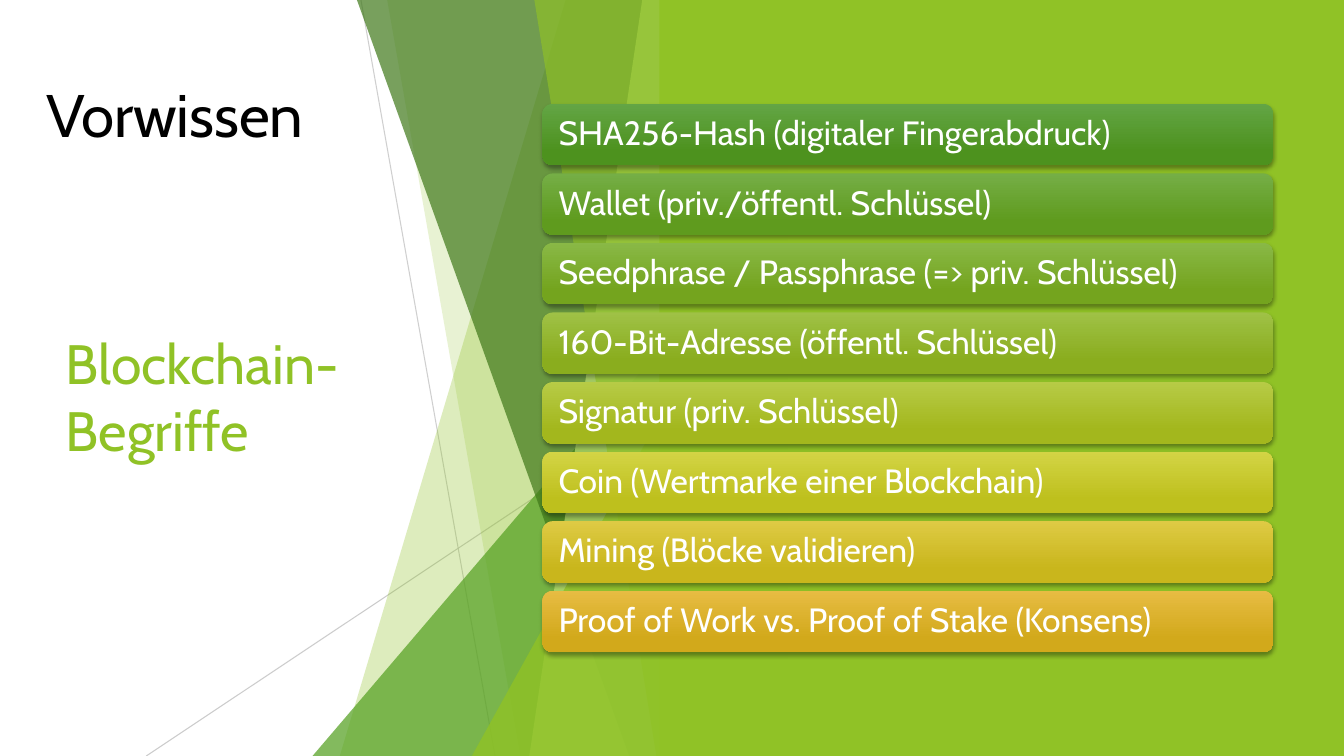
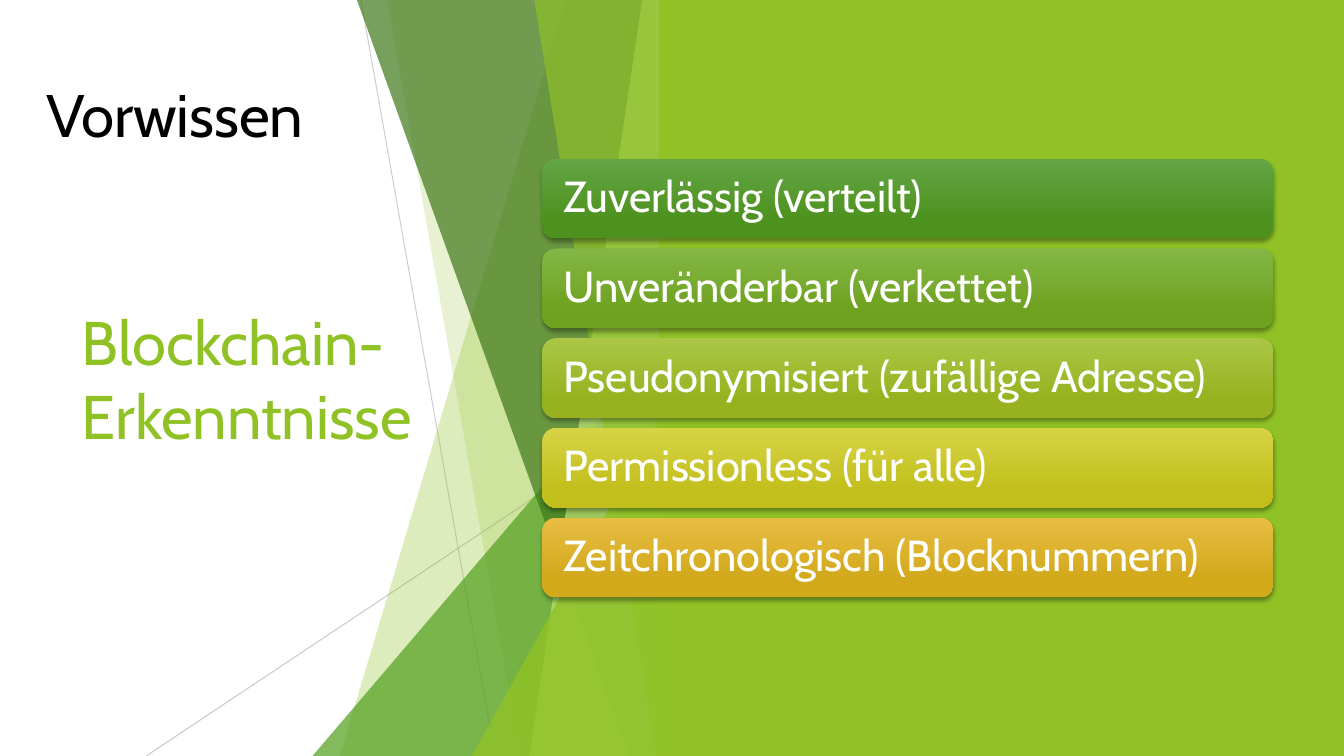
import colorsys

from lxml import etree
from pptx import Presentation
from pptx.dml.color import RGBColor
from pptx.enum.shapes import MSO_CONNECTOR, MSO_SHAPE
from pptx.enum.text import MSO_ANCHOR, MSO_AUTO_SIZE, PP_ALIGN
from pptx.oxml.ns import qn
from pptx.util import Inches, Pt

RECT = MSO_SHAPE.RECTANGLE
ROUNDED = MSO_SHAPE.ROUNDED_RECTANGLE
TRIANGLE = MSO_SHAPE.ISOSCELES_TRIANGLE
STRAIGHT = MSO_CONNECTOR.STRAIGHT
MIDDLE = MSO_ANCHOR.MIDDLE
LEFT = PP_ALIGN.LEFT
NO_FIT = MSO_AUTO_SIZE.NONE

FONT = "Cabin"
W, H = 13.33, 7.5
C = {
    "lime": "90C226", "green": "54A021", "dark": "3F7819", "pale": "C0E474",
    "grey": "BFBFBF", "white": "FFFFFF", "black": "000000",
    "bar_top_first": "63A545", "bar_top_last": "E7BC43",
    "bar_base_first": "4D921E", "bar_base_last": "D2A91B",
}

FACET_BOX = (1.45, 0, 5.21, H)
FACET_LINES = [((2.13, 0), (3.46, 7.5), 75), ((5.21, 4.03), (0, 7.5), 80)]
FACETS = [
    ("sheet", 4.16, 1.92, "lime", 30),
    ("sheet", 2.39, 3.71, "lime", 20),
    ("triangle", 1.65, 3.33, "green", 72),
    ("sheet", 2.09, 4.79, "dark", 70),
    ("sheet", 4.92, 3.8, "pale", 70),
    ("sheet", 3.85, 5.06, "lime", 65),
    ("triangle", 3.23, 3.93, "lime", 80),
]
PANEL_BOX = (6.54, 0, W - 6.54, H)
HEADING_BOX = (0.36, 0.35, 3.88, 1.55)
BARS_BOX = (5.38, 0, 7.25, H)

SLIDES = [
    dict(title="Blockchain-Begriffe", title_box=(0.55, 3.15, 3.88, 1.55), title_size=39.6,
         bar_height=0.61, gap=0.08, bar_size=24, inset=0.13,
         terms=[
             "SHA256-Hash (digitaler Fingerabdruck)",
             "Wallet (priv./öffentl. Schlüssel)",
             "Seedphrase / Passphrase (=> priv. Schlüssel)",
             "160-Bit-Adresse (öffentl. Schlüssel)",
             "Signatur (priv. Schlüssel)",
             "Coin (Wertmarke einer Blockchain)",
             "Mining (Blöcke validieren)",
             "Proof of Work vs. Proof of Stake (Konsens)",
         ]),
    dict(title="Blockchain-Erkenntnisse", title_box=(0.71, 1.51, 3.88, 4.48), title_size=44,
         bar_height=0.79, gap=0.1, bar_size=31, inset=0.17,
         terms=[
             "Zuverlässig (verteilt)",
             "Unveränderbar (verkettet)",
             "Pseudonymisiert (zufällige Adresse)",
             "Permissionless (für alle)",
             "Zeitchronologisch (Blocknummern)",
         ]),
]


def rgb(name):
    return RGBColor.from_string(C[name])


def inches(box):
    return [Inches(v) for v in box]


def blend(first, last, t):
    a, b = (colorsys.rgb_to_hsv(*(v / 255 for v in rgb(n))) for n in (first, last))
    mixed = colorsys.hsv_to_rgb(*(u + (v - u) * t for u, v in zip(a, b)))
    return RGBColor(*(round(v * 255) for v in mixed))


def set_alpha(sp, percent):
    for color in sp._element.spPr.iter(qn("a:srgbClr")):
        etree.SubElement(color, qn("a:alpha"), val=str(percent * 1000))


def add_shadow(sp):
    effects = sp._element.spPr.find(qn("a:effectLst"))
    shadow = etree.SubElement(effects, qn("a:outerShdw"), blurRad=str(Pt(3)),
                              dist=str(Pt(2)), dir="5400000", rotWithShape="0")
    color = etree.SubElement(shadow, qn("a:srgbClr"), val=C["black"])
    etree.SubElement(color, qn("a:alpha"), val="35000")


def put_text(sp, text, size, color, inset=0.1, spacing=1.0):
    tf = sp.text_frame
    tf.word_wrap = True
    tf.auto_size = NO_FIT
    tf.vertical_anchor = MIDDLE
    tf.margin_left = tf.margin_right = Inches(inset)
    tf.margin_top = tf.margin_bottom = Inches(0.05)
    p = tf.paragraphs[0]
    p.alignment = LEFT
    p.line_spacing = spacing
    r = p.add_run()
    r.text = text
    r.font.name = FONT
    r.font.size = Pt(size)
    r.font.color.rgb = rgb(color)


def paint(sp, color, alpha=100):
    sp.shadow.inherit = False
    sp.fill.solid()
    sp.fill.fore_color.rgb = rgb(color)
    sp.line.fill.background()
    if alpha < 100:
        set_alpha(sp, alpha)


def add_facets(s, box):
    x, y, w, h = box
    for start, end, alpha in FACET_LINES:
        ends = inches((x + start[0], y + start[1], x + end[0], y + end[1]))
        line = s.shapes.add_connector(STRAIGHT, *ends)
        line.line.color.rgb = rgb("grey")
        line.line.width = Pt(0.75)
        set_alpha(line, alpha)
        etree.SubElement(line._element.spPr, qn("a:effectLst"))
    for kind, a, b, color, alpha in FACETS:
        if kind == "sheet":
            corners = [(x + a, y), (x + w, y), (x + w, y + h), (x + b, y + h)]
            points = [tuple(inches(corner)) for corner in corners]
            outline = s.shapes.build_freeform(*points[0])
            outline.add_line_segments(points[1:], close=True)
            sp = outline.convert_to_shape()
        else:
            sp = s.shapes.add_shape(TRIANGLE, *inches((x + a, y + b, w - a, h - b)))
            sp.adjustments[0] = 1
        paint(sp, color, alpha)


def add_panel(s, box):
    paint(s.shapes.add_shape(RECT, *inches(box)), "lime")


def add_title(s, box, text, size):
    title = s.shapes.title
    title.left, title.top, title.width, title.height = inches(box)
    put_text(title, text, size, "lime")


def add_heading(s, box):
    put_text(s.shapes.add_textbox(*inches(box)), "Vorwissen", 42.9, "black")


def add_bars(s, box, terms, height, gap, size, inset):
    x, y, w, h = box
    pitch = height + gap
    top = y + (h - len(terms) * pitch + gap) / 2
    for i, term in enumerate(terms):
        bar = s.shapes.add_shape(ROUNDED, *inches((x, top + i * pitch, w, height)))
        t = i / (len(terms) - 1)
        bar.fill.gradient()
        bar.fill.gradient_angle = 270
        upper, lower = bar.fill.gradient_stops
        upper.position, lower.position = 0, 0.78
        upper.color.rgb = blend("bar_top_first", "bar_top_last", t)
        lower.color.rgb = blend("bar_base_first", "bar_base_last", t)
        bar.line.fill.background()
        bar.shadow.inherit = False
        add_shadow(bar)
        put_text(bar, term, size, "white", inset=inset, spacing=0.9)


def add_term_slide(prs, data):
    s = prs.slides.add_slide(prs.slide_layouts.get_by_name("Title Only"))
    add_title(s, data["title_box"], data["title"], data["title_size"])
    add_facets(s, FACET_BOX)
    add_panel(s, PANEL_BOX)
    add_bars(s, BARS_BOX, data["terms"], data["bar_height"], data["gap"],
             data["bar_size"], data["inset"])
    add_heading(s, HEADING_BOX)


def main():
    prs = Presentation()
    prs.slide_width, prs.slide_height = Inches(W), Inches(H)
    for data in SLIDES:
        add_term_slide(prs, data)
    prs.save("out.pptx")


if __name__ == "__main__":
    main()
